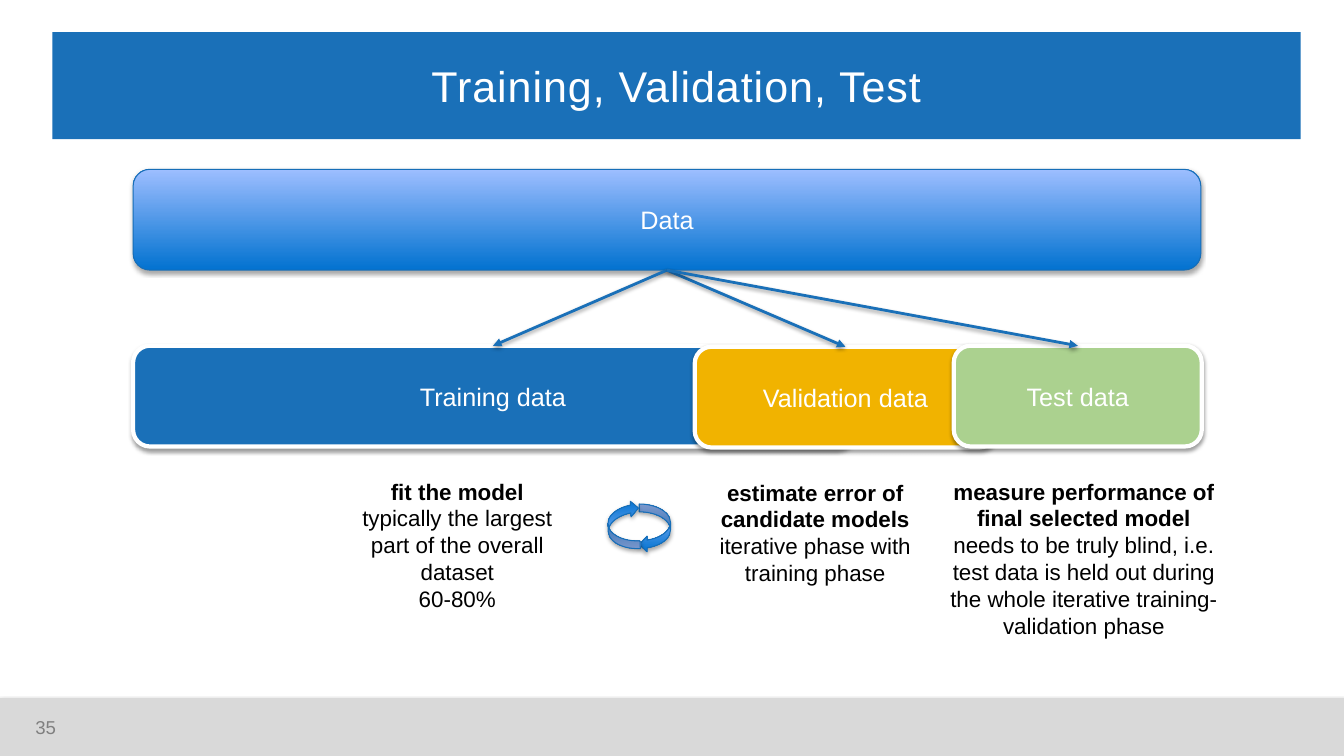
from lxml.etree import SubElement
from pptx import Presentation
from pptx.dml.color import RGBColor
from pptx.enum.shapes import MSO_CONNECTOR, MSO_SHAPE
from pptx.enum.text import MSO_ANCHOR, PP_ALIGN
from pptx.oxml import parse_xml
from pptx.oxml.ns import nsdecls, qn
from pptx.util import Inches, Pt

BLUE, WHITE, GREY = "1A70B8", "FFFFFF", "D9D9D9"
GRADIENT = ("0272D0", "9DBEFF")

prs = Presentation()
prs.slide_width, prs.slide_height = Inches(13.33), Inches(7.5)
s = prs.slides.add_slide(prs.slide_layouts[6])


def style(sp, fill, line=None, width=0.75, shadow=None):
    """Fill (a colour or a pair for a gradient), outline and (opacity, distance) shadow."""
    sp.shadow.inherit = False
    if isinstance(fill, tuple):
        sp.fill.gradient()
        sp.fill.gradient_angle = 90
        for stop, color in zip(sp.fill.gradient_stops, fill):
            stop.color.rgb = RGBColor.from_string(color)
    elif fill:
        sp.fill.solid()
        sp.fill.fore_color.rgb = RGBColor.from_string(fill)
    if line:
        sp.line.color.rgb = RGBColor.from_string(line)
        sp.line.width = Pt(width)
    elif fill:
        sp.line.fill.background()
    if shadow:
        opacity, dist = shadow
        sp._element.spPr.find(qn("a:effectLst")).append(parse_xml(
            f'<a:outerShdw {nsdecls("a")} blurRad="{Pt(3.1)}" dist="{Pt(dist)}" dir="5400000" '
            f'rotWithShape="0"><a:srgbClr val="000000"><a:alpha val="{opacity * 1000}"/>'
            '</a:srgbClr></a:outerShdw>'))


def write(p, text, size, color, bold=False, align=PP_ALIGN.CENTER):
    p.text = text
    p.alignment = align
    p.font.name, p.font.size, p.font.bold = "Arial", Pt(size), bold
    p.font.color.rgb = RGBColor.from_string(color)


SOFT, FIRM = (35, 1.8), (38, 1.6)

# Footer band and slide number
footer = s.shapes.add_shape(MSO_SHAPE.RECTANGLE, 0, Inches(6.93), prs.slide_width, Inches(0.57))
style(footer, GREY, GREY, shadow=SOFT)
number = s.shapes.add_textbox(Inches(0.35), Inches(7.01), Inches(0.59), Inches(0.4))
tf = number.text_frame
tf.margin_left = tf.margin_top = tf.margin_right = tf.margin_bottom = 0
tf.vertical_anchor = MSO_ANCHOR.MIDDLE
write(tf.paragraphs[0], "35", 13.3, "808080", align=PP_ALIGN.LEFT)

# Title bar
title = s.shapes.add_shape(MSO_SHAPE.RECTANGLE, Inches(0.52), Inches(0.32), Inches(12.38), Inches(1.06))
style(title, BLUE)
p = title.text_frame.paragraphs[0]
write(p, "Training, Validation, Test", 30.7, WHITE)
p.runs[0].font._element.set("spc", "70")

# Data bar and its three parts
boxes = []
for label, left, top, width, fill, line, weight, shadow in (
    ("Training data", 1.32, 3.43, 7.14, BLUE, WHITE, 3, FIRM),
    ("Validation data", 6.89, 3.44, 2.99, "F1B300", WHITE, 3, FIRM),
    ("Test data", 9.46, 3.43, 2.46, "ABD18F", WHITE, 3, FIRM),
    ("Data", 1.32, 1.68, 10.59, GRADIENT, "166EB8", 0.75, SOFT),
):
    sp = s.shapes.add_shape(MSO_SHAPE.ROUNDED_RECTANGLE, Inches(left), Inches(top), Inches(width), Inches(1))
    style(sp, fill, line, weight, shadow)
    write(sp.text_frame.paragraphs[0], label, 18, WHITE)
    boxes.append(sp)
*parts, data = boxes

# Descriptions: bold purpose, then detail
for left, top, width, height, purpose, detail in (
    (3.34, 4.69, 2.39, 1.45, "fit the model",
     "typically the largest part of the overall dataset\v60-80%"),
    (6.89, 4.7, 2.39, 1.72, "estimate error of candidate models",
     "iterative phase with training phase"),
    (9.28, 4.69, 2.94, 1.99, "measure performance of final selected model",
     "needs to be truly blind, i.e. test data is held out during the whole iterative "
     "training-validation phase"),
):
    tf = s.shapes.add_textbox(Inches(left), Inches(top), Inches(width), Inches(height)).text_frame
    tf.word_wrap = True
    write(tf.paragraphs[0], purpose, 16, "000000", bold=True)
    write(tf.add_paragraph(), detail, 16, "000000")

# Iteration cycle between training and validation
for left, top, rotation in ((6.34, 5, 0), (6.03, 4.97, 177.3)):
    sp = s.shapes.add_shape(MSO_SHAPE.CURVED_LEFT_ARROW, Inches(left), Inches(top), Inches(0.31), Inches(0.48))
    sp.rotation = rotation
    style(sp, GRADIENT, "166EB8", shadow=SOFT)

# Arrows from the data to each part
for part in parts:
    arrow = s.shapes.add_connector(MSO_CONNECTOR.STRAIGHT, 0, 0, 0, 0)
    arrow.begin_connect(data, 2)
    arrow.end_connect(part, 0)
    arrow.line.color.rgb = RGBColor.from_string(BLUE)
    arrow.line.width = Pt(2)
    SubElement(arrow.line._get_or_add_ln(), qn("a:tailEnd"), type="triangle")
    effects = SubElement(arrow._element.spPr, qn("a:effectLst"))
    effects.append(parse_xml(
        f'<a:outerShdw {nsdecls("a")} blurRad="{Pt(3.1)}" dist="{Pt(1.6)}" dir="5400000" '
        'rotWithShape="0"><a:srgbClr val="000000"><a:alpha val="38000"/></a:srgbClr></a:outerShdw>'))

prs.save("out.pptx")
